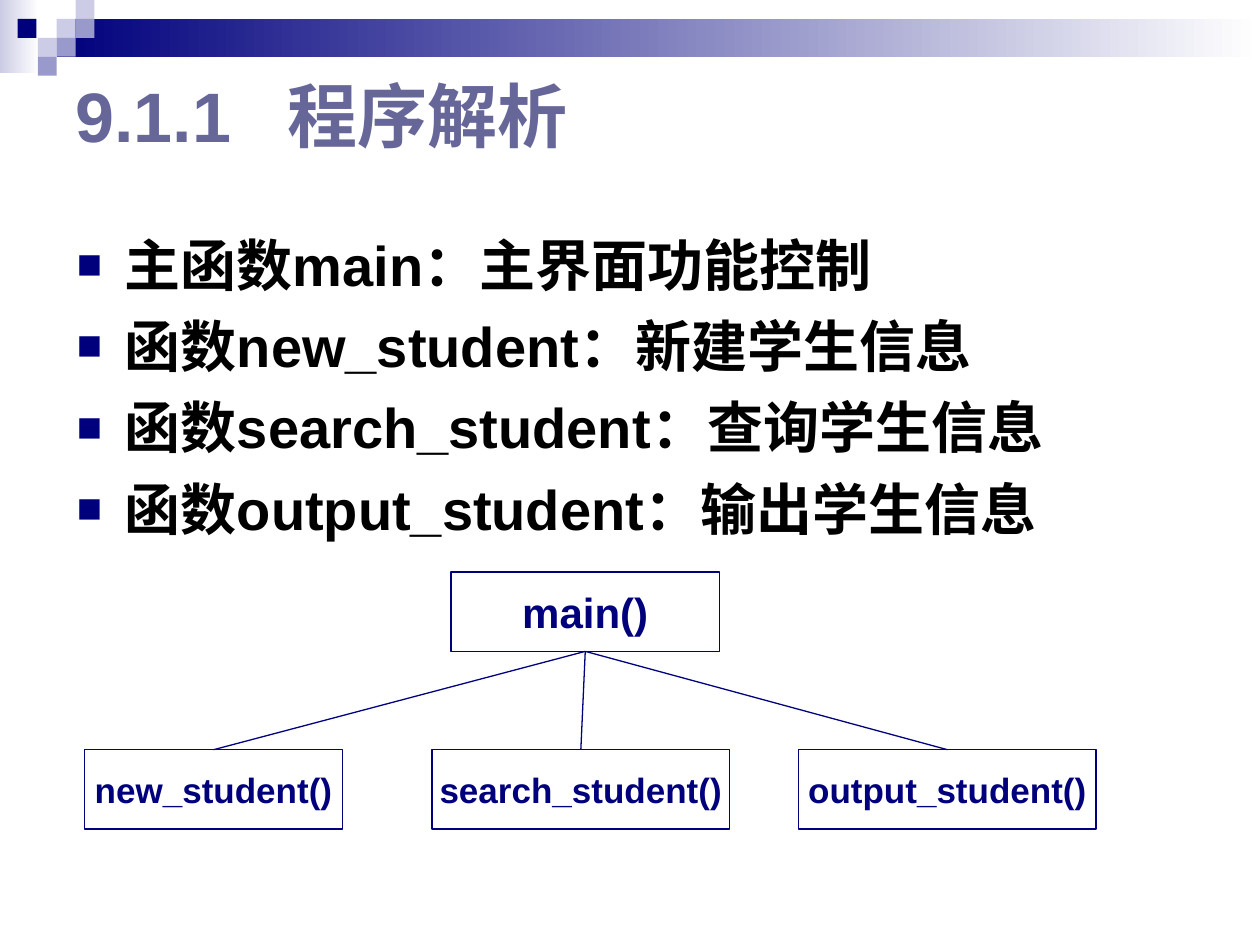
import pptx
import pptx.util
import pptx.dml.color
import pptx.enum.shapes
import pptx.enum.text
import pptx.oxml.ns
import lxml.etree

COLORS = {"navy": "00007D", "violet": "9999CC", "lilac": "CCCCE6",
          "title": "666699", "black": "000000", "white": "FFFFFF"}
FONT = "Arial"
UNIT = 0.15  # side of one square of the header grid
inch = pptx.util.Inches
qn = pptx.oxml.ns.qn


def rgb(name):
    return pptx.dml.color.RGBColor.from_string(COLORS[name])


def add_run(p, text, size, color):
    r = p.add_run()
    r.text = text
    r.font.name = FONT
    r.font.size = pptx.util.Pt(size)
    r.font.bold = True
    r.font.color.rgb = rgb(color)


def add_rect(s, box, fill):
    """Borderless rectangle; a pair of colours gives a right-to-left gradient."""
    sp = s.shapes.add_shape(pptx.enum.shapes.MSO_SHAPE.RECTANGLE, *map(inch, box))
    sp.shadow.inherit = False
    sp.line.fill.background()
    if isinstance(fill, tuple):
        sp.fill.gradient()
        sp.fill.gradient_angle = 180
        for stop, color in zip(sp.fill.gradient_stops, fill):
            stop.color.rgb = rgb(color)
    else:
        sp.fill.solid()
        sp.fill.fore_color.rgb = rgb(fill)
    return sp


def place(sp, box, anchor):
    sp.left, sp.top, sp.width, sp.height = map(inch, box)
    tf = sp.text_frame
    tf.auto_size = pptx.enum.text.MSO_AUTO_SIZE.NONE
    tf.vertical_anchor = anchor
    tf.word_wrap = True
    return tf


def add_header(s, width):
    # Gradient bands
    add_rect(s, (0, 0, 0.31, 0.58), ("white", "lilac"))
    add_rect(s, (3 * UNIT, UNIT, width - 3 * UNIT, 2 * UNIT), ("white", "navy"))
    # Mosaic: column, row, colour
    for col, row, color in [(3, 1, "lilac"), (4, 0, "lilac"), (4, 1, "violet"),
                            (2, 2, "lilac"), (0.93, 1, "navy"),
                            (3, 2, "violet"), (2, 3, "violet")]:
        add_rect(s, (col * UNIT, row * UNIT, UNIT, UNIT), color)


def add_title(s, box, number, text):
    tf = place(s.shapes.title, box, pptx.enum.text.MSO_ANCHOR.MIDDLE)
    p = tf.paragraphs[0]
    p.alignment = pptx.enum.text.PP_ALIGN.LEFT
    tabs = lxml.etree.SubElement(p._p.get_or_add_pPr(), qn("a:tabLst"))
    lxml.etree.SubElement(tabs, qn("a:tab"), pos=str(inch(1.68)), algn="l")
    add_run(p, number + "\t" + text, 40, "title")


def add_bullet(p):
    pPr = p._p.get_or_add_pPr()
    pPr.set("marL", str(inch(0.38)))
    pPr.set("indent", str(inch(-0.38)))
    color = lxml.etree.SubElement(pPr, qn("a:buClr"))
    lxml.etree.SubElement(color, qn("a:srgbClr"), val=COLORS["navy"])
    lxml.etree.SubElement(pPr, qn("a:buSzPct"), val="75000")
    lxml.etree.SubElement(pPr, qn("a:buFont"), typeface=FONT)
    lxml.etree.SubElement(pPr, qn("a:buChar"), char="■")


def add_body(s, box, items):
    tf = place(s.placeholders[1], box, pptx.enum.text.MSO_ANCHOR.TOP)
    for i, item in enumerate(items):
        p = tf.add_paragraph() if i else tf.paragraphs[0]
        add_bullet(p)
        p.space_before = pptx.util.Pt(8 if i else 0)
        add_run(p, item, 32, "black")


def add_node(s, box, text, size):
    sp = add_rect(s, box, "white")
    sp.line.color.rgb = rgb("navy")
    sp.line.width = pptx.util.Pt(0.75)
    tf = sp.text_frame
    tf.word_wrap = False
    tf.vertical_anchor = pptx.enum.text.MSO_ANCHOR.MIDDLE
    p = tf.paragraphs[0]
    p.alignment = pptx.enum.text.PP_ALIGN.CENTER
    add_run(p, text, size, "navy")
    return sp


def add_call_tree(s, box, root, children):
    """Root on the top row, children on the bottom row, joined by lines."""
    left, top, _, height = box
    node_h = 0.63
    parent = add_node(s, (left + 2.91, top, 2.13, node_h), root, 24)
    for offset, width, text in children:
        child = add_node(s, (left + offset, top + height - node_h, width, node_h),
                         text, 20)
        line = s.shapes.add_connector(pptx.enum.shapes.MSO_CONNECTOR.STRAIGHT,
                                      0, 0, 0, 0)
        line.begin_connect(parent, 2)
        line.end_connect(child, 0)
        line.line.color.rgb = rgb("navy")
        line.line.width = pptx.util.Pt(0.75)
        lxml.etree.SubElement(line._element.spPr, qn("a:effectLst"))


def main():
    prs = pptx.Presentation()
    prs.slide_width, prs.slide_height = inch(10), inch(7.5)
    s = prs.slides.add_slide(prs.slide_layouts[1])
    add_header(s, 10)
    add_title(s, (0.5, 0.5, 5.6, 0.81), "9.1.1", "程序解析")
    add_body(s, (0.51, 1.78, 9, 5.35), [
        "主函数main：主界面功能控制",
        "函数new_student：新建学生信息",
        "函数search_student：查询学生信息",
        "函数output_student：输出学生信息"])
    add_call_tree(s, (0.67, 4.54, 8.03, 2.04), "main()", [
        (0, 2.05, "new_student()"),
        (2.76, 2.36, "search_student()"),
        (5.67, 2.36, "output_student()")])
    prs.save("out.pptx")


if __name__ == "__main__":
    main()
